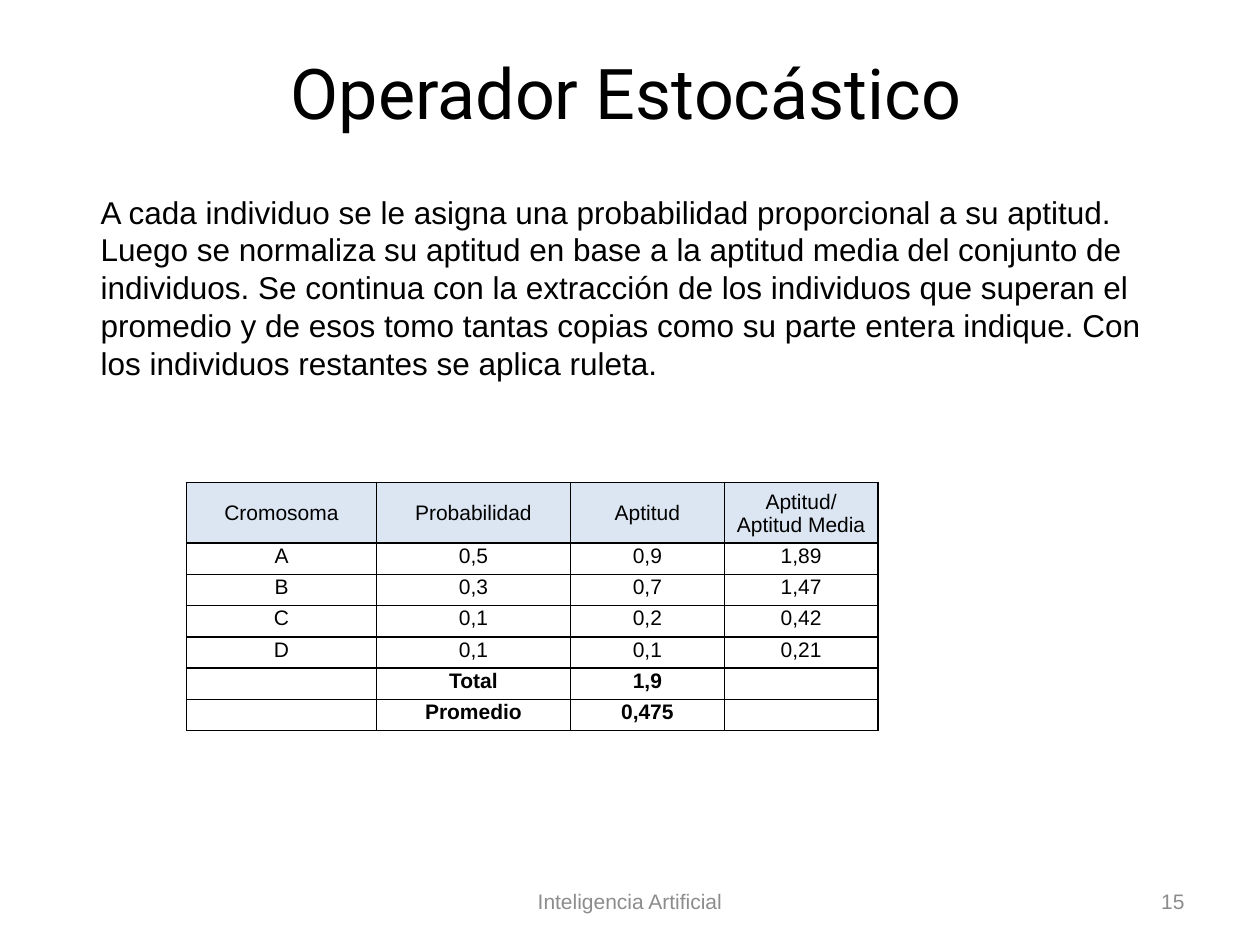
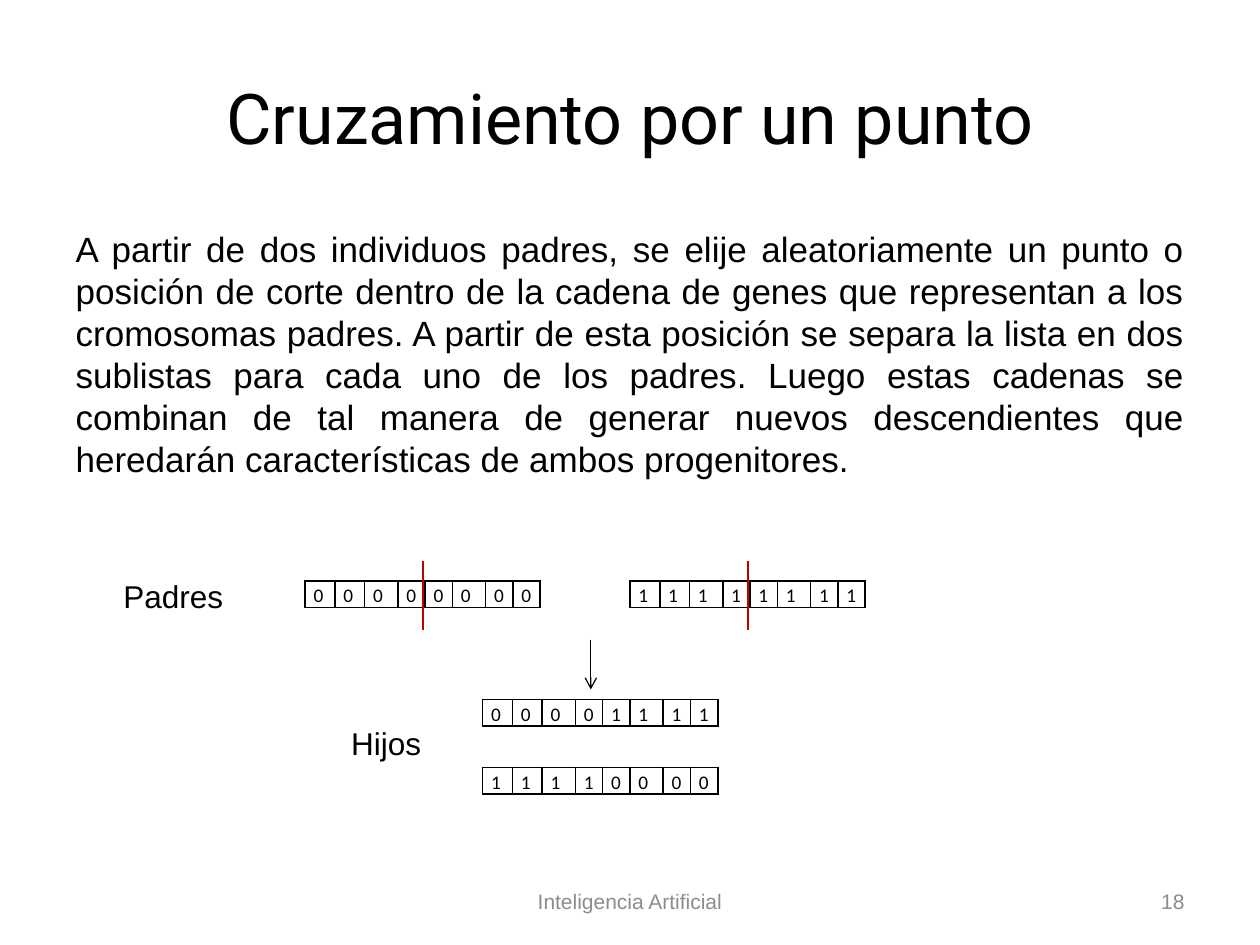
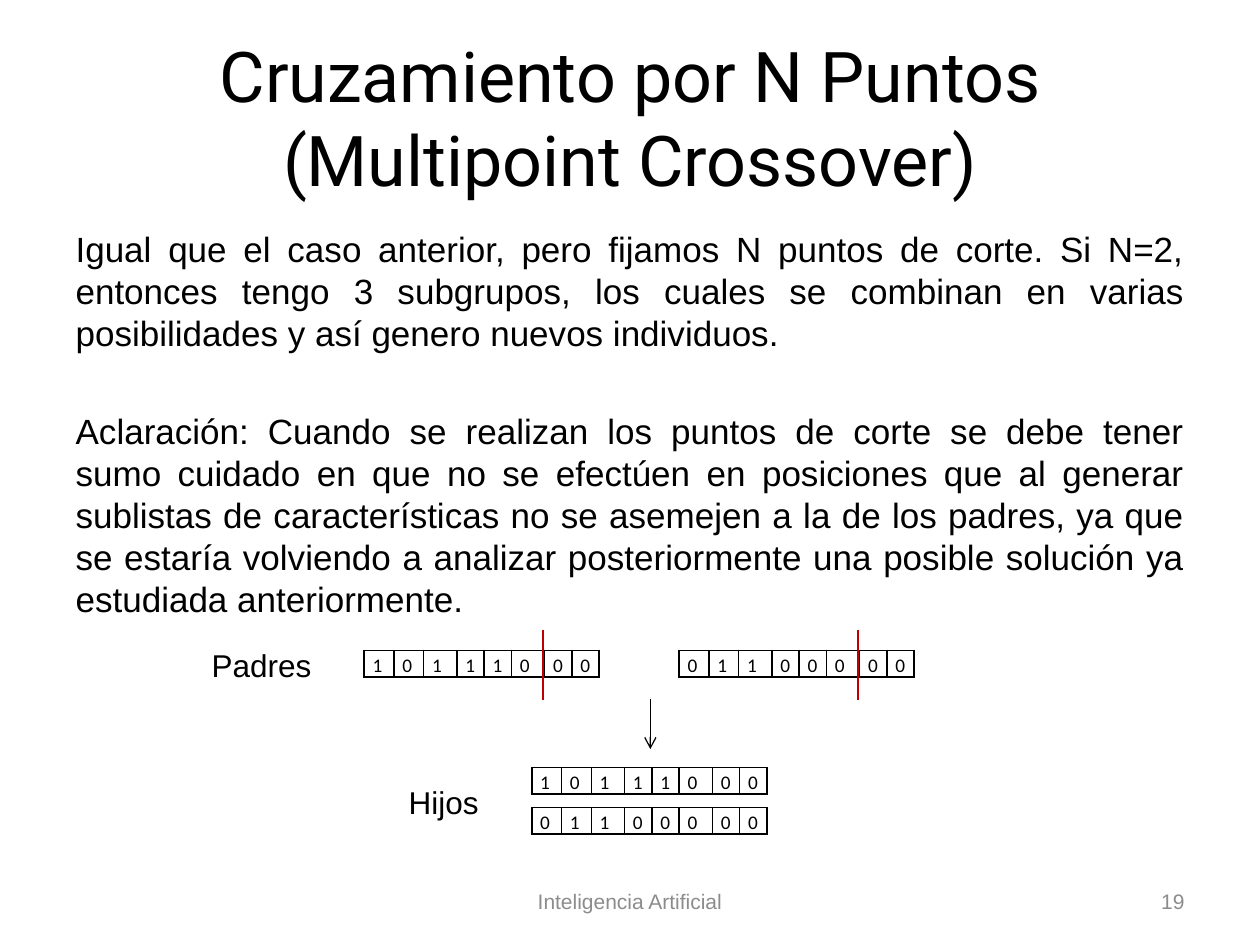
import dataclasses

import lxml.etree
import pptx
import pptx.dml.color
import pptx.enum.shapes
import pptx.enum.text
import pptx.oxml.ns
import pptx.util

Cm = pptx.util.Cm
Pt = pptx.util.Pt
qn = pptx.oxml.ns.qn
Align = pptx.enum.text.PP_ALIGN
Anchor = pptx.enum.text.MSO_ANCHOR


@dataclasses.dataclass(frozen=True)
class Theme:
    """Colours, fonts and type sizes shared by all slides."""
    ink: str = "000000"
    muted: str = "8C8C8C"
    cut: str = "C00000"
    header: str = "DCE6F2"
    title_font: str = "Roboto"
    text_font: str = "Arial"
    gene_font: str = "Calibri"
    title_size: int = 40
    body_size: int = 20
    label_size: int = 18
    small_size: int = 12
    gene_size: int = 11


theme = Theme()


def format_para(para, size, align, font=theme.text_font, color=theme.ink, bold=False):
    """Set the alignment and font of a whole paragraph."""
    para.alignment = align
    para.font.name = font
    para.font.size = Pt(size)
    para.font.bold = bold
    para.font.color.rgb = pptx.dml.color.RGBColor.from_string(color)


def add_grid(page, left, top, widths, heights, rows, margins):
    """Add a plain table with black cell borders and return it."""
    frame = page.shapes.add_table(len(rows), len(widths), Cm(left), Cm(top),
                                  Cm(sum(widths)), Cm(sum(heights)))
    table = frame.table
    table.first_row = table.horz_banding = False
    for column, width in zip(table.columns, widths):
        column.width = Cm(width)
    for row, height, texts in zip(table.rows, heights, rows):
        row.height = Cm(height)
        for cell, text in zip(row.cells, texts):
            cell.text = text
            cell.margin_left = cell.margin_right = Cm(margins[0])
            cell.margin_top, cell.margin_bottom = Cm(margins[1]), 0
            properties = cell._tc.get_or_add_tcPr()
            for side in ("a:lnL", "a:lnR", "a:lnT", "a:lnB"):
                border = lxml.etree.SubElement(properties, qn(side), w=str(Pt(1)))
                fill = lxml.etree.SubElement(border, qn("a:solidFill"))
                lxml.etree.SubElement(fill, qn("a:srgbClr"), val=theme.ink)
            cell.fill.background()
    return table


deck = pptx.Presentation()
deck.slide_width, deck.slide_height = Cm(25.4), Cm(19.05)
content_layout, title_layout = deck.slide_layouts[1], deck.slide_layouts[5]

# Titles and footers
pages = []
for title, number, layout, left, top in (
    ("Operador Estocástico", "15", title_layout, 1.19, 1),
    ("Cruzamiento por un punto", "18", content_layout, 1.27, 0.76),
    ("Cruzamiento por N Puntos (Multipoint Crossover)", "19", content_layout, 1.27, 0.76),
):
    page = deck.slides.add_slide(layout)
    pages.append(page)
    box = page.shapes.title
    box.left, box.top, box.width, box.height = Cm(left), Cm(top), Cm(22.86), Cm(3.17)
    box.text_frame.text = title
    box.text_frame.auto_size = pptx.enum.text.MSO_AUTO_SIZE.NONE
    box.text_frame.vertical_anchor = Anchor.MIDDLE
    format_para(box.text_frame.paragraphs[0], theme.title_size, Align.CENTER,
                font=theme.title_font)

    for text, footer_left, width, align in (
        ("Inteligencia Artificial", 8.68, 8.04, Align.CENTER),
        (number, 18.2, 5.93, Align.RIGHT),
    ):
        box = page.shapes.add_textbox(Cm(footer_left), Cm(17.66), Cm(width), Cm(1.01))
        box.text_frame.word_wrap = True
        box.text_frame.vertical_anchor = Anchor.MIDDLE
        box.text_frame.text = text
        format_para(box.text_frame.paragraphs[0], theme.small_size, align,
                    color=theme.muted)

# Stochastic operator: explanation and table
page = pages[0]
page.shapes.title.text_frame.vertical_anchor = Anchor.TOP
page.shapes.title.text_frame.margin_top = 0

box = page.shapes.add_textbox(Cm(1.78), Cm(3.76), Cm(22.22), Cm(4.88))
box.text_frame.word_wrap = True
box.text_frame.text = (
    "A cada individuo se le asigna una probabilidad proporcional a su aptitud. "
    "Luego se normaliza su aptitud en base a la aptitud media del conjunto de "
    "individuos. Se continua con la extracción de los individuos que superan el "
    "promedio y de esos tomo tantas copias como su parte entera indique. Con los "
    "individuos restantes se aplica ruleta.")
format_para(box.text_frame.paragraphs[0], theme.label_size, Align.LEFT)

fitness_rows = [
    ("Cromosoma", "Probabilidad", "Aptitud", "Aptitud/\vAptitud Media"),
    ("A", "0,5", "0,9", "1,89"),
    ("B", "0,3", "0,7", "1,47"),
    ("C", "0,1", "0,2", "0,42"),
    ("D", "0,1", "0,1", "0,21"),
    ("", "Total", "1,9", ""),
    ("", "Promedio", "0,475", ""),
]
table = add_grid(page, 3.76, 9.73, [3.83, 3.91, 3.1, 3.1], [1.22] + [0.63] * 6,
                 fitness_rows, (0.02, 0.02))
for index, row in enumerate(table.rows):
    for cell in row.cells:
        para = cell.text_frame.paragraphs[0]
        format_para(para, theme.small_size, Align.CENTER, bold=index >= 5)
        if not cell.text:
            lxml.etree.SubElement(para._p, qn("a:endParaRPr"),
                                  sz=str(theme.small_size * 100))
        if index == 0:
            cell.vertical_anchor = Anchor.MIDDLE
            cell.fill.solid()
            cell.fill.fore_color.rgb = pptx.dml.color.RGBColor.from_string(theme.header)

# Crossover slides: body text, parents, cut lines and children
gene_widths = [0.6, 0.6, 0.67, 0.55, 0.55, 0.67, 0.55, 0.55]
crossovers = [
    dict(page=pages[1], height=5.66, parents=("00000000", "11111111"), cut=4,
         parent_lefts=(6.15, 12.7), parent_top=11.71,
         child_left=9.73, child_tops=(14.1, 15.47),
         labels=(("Padres", 1.98, 11.5, 2.77), ("Hijos", 6.76, 14.48, 1.98)),
         arrow=(11.91, 12.9),
         texts=["A partir de dos individuos padres, se elije aleatoriamente un punto o "
                "posición de corte dentro de la cadena de genes que representan a los "
                "cromosomas padres. A partir de esta posición se separa la lista en dos "
                "sublistas para cada uno de los padres. Luego estas cadenas se combinan "
                "de tal manera de generar nuevos descendientes que heredarán "
                "características de ambos progenitores."]),
    dict(page=pages[2], height=8.46, parents=("10111000", "01100000"), cut=6,
         parent_lefts=(7.34, 13.69), parent_top=13.11,
         child_left=10.72, child_tops=(15.47, 16.28),
         labels=(("Padres", 3.76, 12.9, 2.77), ("Hijos", 7.92, 15.67, 1.98)),
         arrow=(13.11, 14.1),
         texts=["Igual que el caso anterior, pero fijamos N puntos de corte. Si N=2, "
                "entonces tengo 3 subgrupos, los cuales se combinan en varias "
                "posibilidades y así genero nuevos individuos.",
                "Aclaración: Cuando se realizan los puntos de corte se debe tener sumo "
                "cuidado en que no se efectúen en posiciones que al generar sublistas de "
                "características no se asemejen a la de los padres, ya que se estaría "
                "volviendo a analizar posteriormente una posible solución ya estudiada "
                "anteriormente."]),
]

for cross in crossovers:
    page, cut = cross["page"], cross["cut"]
    body = page.placeholders[1]
    body.left, body.top = Cm(1.27), Cm(4.45)
    body.width, body.height = Cm(22.86), Cm(cross["height"])
    body.text_frame.text = "\n".join(cross["texts"])
    body.text_frame.auto_size = pptx.enum.text.MSO_AUTO_SIZE.NONE
    for index, para in enumerate(body.text_frame.paragraphs):
        format_para(para, theme.body_size, Align.JUSTIFY)
        para.space_before = Pt(32 if index else 4)
        properties = para._p.get_or_add_pPr()
        properties.set("marL", "0")
        properties.set("indent", "0")
        properties.insert_element_before(
            lxml.etree.SubElement(properties, qn("a:buNone")), "a:defRPr")

    first, second = cross["parents"]
    children = (first[:cut] + second[cut:], second[:cut] + first[cut:])
    strips = [(genes, left, cross["parent_top"])
              for genes, left in zip(cross["parents"], cross["parent_lefts"])]
    strips += [(genes, cross["child_left"], top)
               for genes, top in zip(children, cross["child_tops"])]
    for genes, left, top in strips:
        table = add_grid(page, left, top, gene_widths, [0.5], [genes], (0.17, 0))
        for cell in table.iter_cells():
            para = cell.text_frame.paragraphs[0]
            format_para(para, theme.gene_size, Align.LEFT, font=theme.gene_font)
            para.line_spacing = 1.15

    for text, left, top, width in cross["labels"]:
        box = page.shapes.add_textbox(Cm(left), Cm(top), Cm(width), Cm(1.02))
        box.text_frame.word_wrap = True
        box.text_frame.text = text
        format_para(box.text_frame.paragraphs[0], theme.label_size, Align.RIGHT)

    cut_offset = sum(gene_widths[:cut]) - 0.04
    lines = [(left + cut_offset, cross["parent_top"] - 0.4, 1.4, theme.cut, 1.25, False)
             for left in cross["parent_lefts"]]
    lines.append((*cross["arrow"], 1, theme.ink, 0.75, True))
    for x, top, length, color, weight, has_arrow in lines:
        line = page.shapes.add_connector(pptx.enum.shapes.MSO_CONNECTOR.STRAIGHT,
                                         Cm(x), Cm(top), Cm(x), Cm(top + length))
        line.line.color.rgb = pptx.dml.color.RGBColor.from_string(color)
        line.line.width = Pt(weight)
        if has_arrow:
            lxml.etree.SubElement(line.line._get_or_add_ln(), qn("a:tailEnd"), type="arrow")
        lxml.etree.SubElement(line._element.spPr, qn("a:effectLst"))

deck.save("out.pptx")
